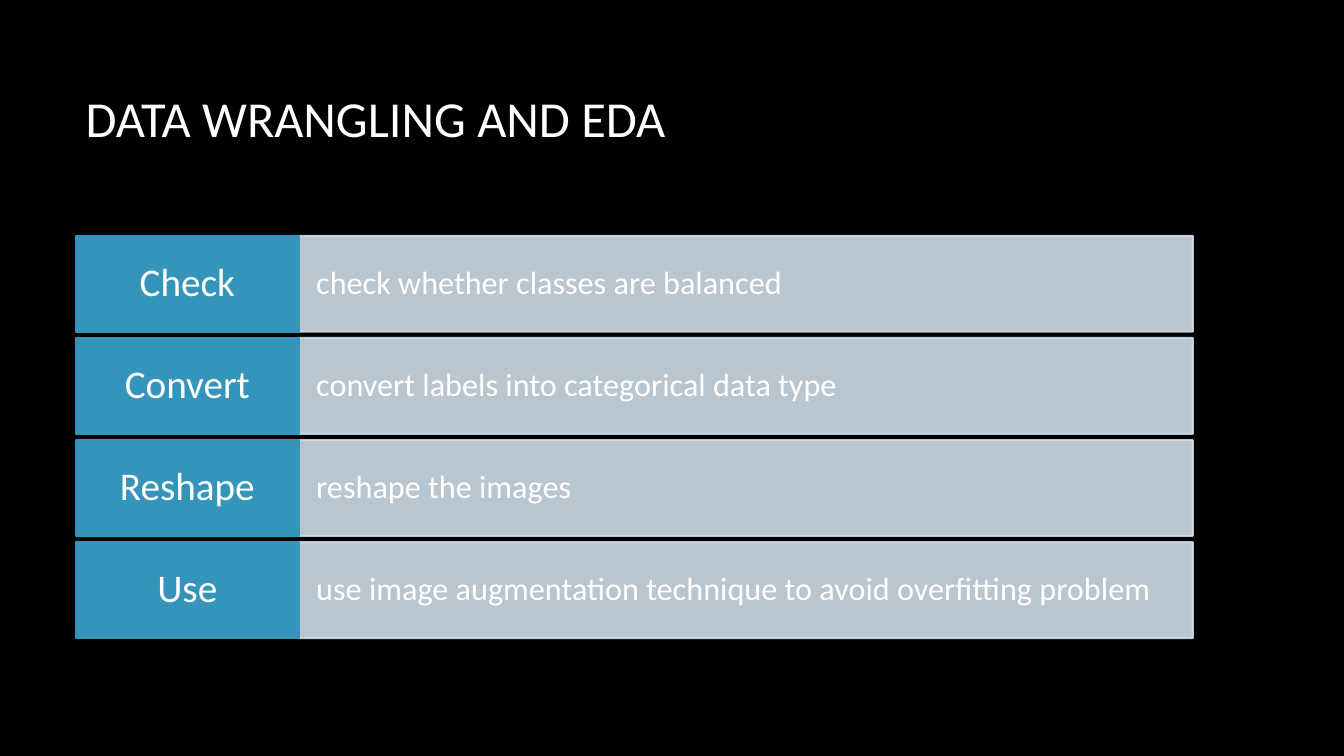
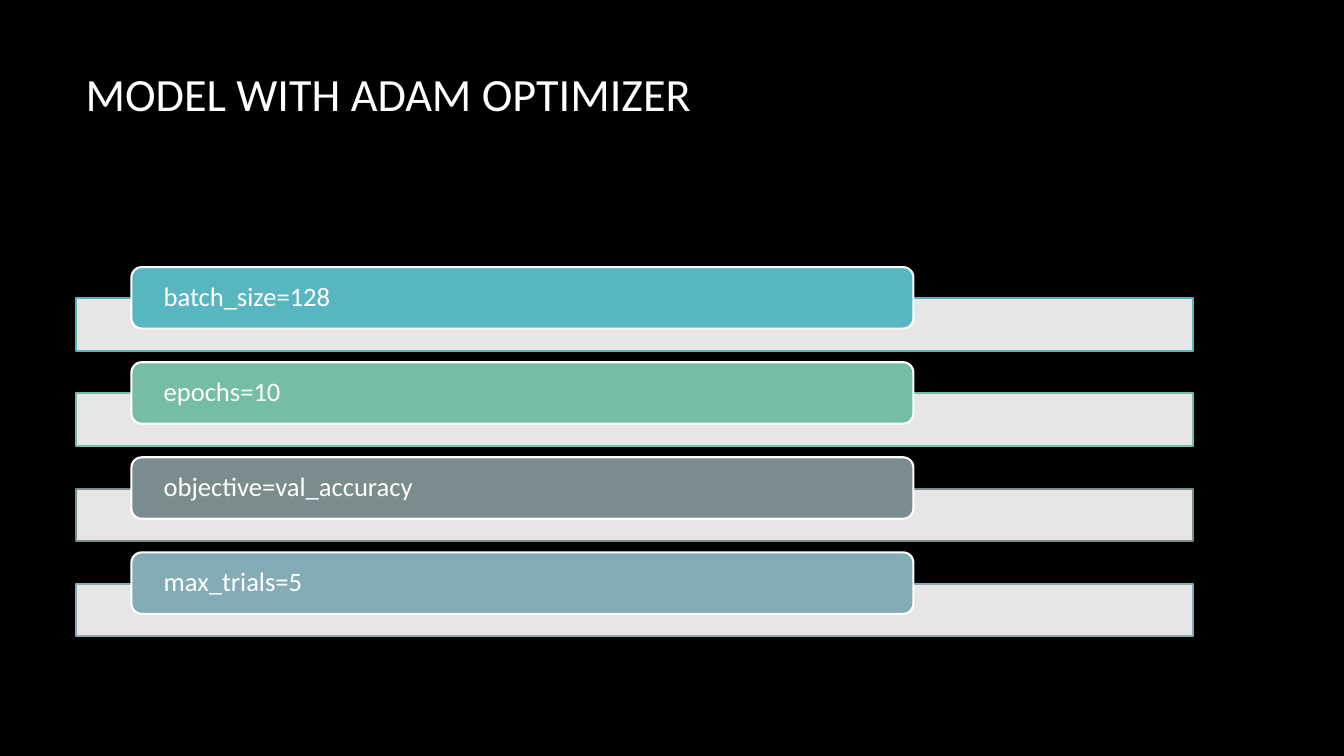
from pptx import Presentation
from pptx.dml.color import RGBColor
from pptx.enum.shapes import MSO_SHAPE
from pptx.enum.text import MSO_ANCHOR, PP_ALIGN
from pptx.oxml.ns import qn
from pptx.util import Inches, Pt
from lxml.etree import SubElement

BLACK = RGBColor(0x00, 0x00, 0x00)
WHITE = RGBColor(0xFF, 0xFF, 0xFF)
BLUE = RGBColor(0x34, 0x94, 0xBA)
PALE = RGBColor(0xCE, 0xDC, 0xE7)
TEAL = RGBColor(0x58, 0xB6, 0xC0)
GREEN = RGBColor(0x75, 0xBD, 0xA7)
GREY = RGBColor(0x7A, 0x8C, 0x8E)
STEEL = RGBColor(0x84, 0xAC, 0xB6)

FONT = "Calibri"
LEFT, WIDTH = 0.75, 11.08

STEPS = [
    ("Check", "check whether classes are balanced"),
    ("Convert", "convert labels into categorical data type"),
    ("Reshape", "reshape the images"),
    ("Use", "use image augmentation technique to avoid overfitting problem"),
]
PARAMS = [
    ("batch_size=128", TEAL),
    ("epochs=10", GREEN),
    ("objective=val_accuracy", GREY),
    ("max_trials=5", STEEL),
]


def write(shape, text, size, align=PP_ALIGN.LEFT, inset=(0.1, 0.05), leading=0.9):
    """Set one line of white text, centred vertically in the shape."""
    frame = shape.text_frame
    frame.word_wrap = True
    frame.vertical_anchor = MSO_ANCHOR.MIDDLE
    frame.margin_left = frame.margin_right = Inches(inset[0])
    frame.margin_top = frame.margin_bottom = Inches(inset[1])
    para = frame.paragraphs[0]
    para.alignment = align
    para.line_spacing = leading
    run = para.add_run()
    run.text = text
    run.font.name = FONT
    run.font.size = Pt(size)
    run.font.color.rgb = WHITE


def block(slide, box, fill, line, kind=MSO_SHAPE.RECTANGLE):
    """Add a filled, outlined shape in the box."""
    shape = slide.shapes.add_shape(kind, *map(Inches, box))
    shape.shadow.inherit = False
    shape.fill.solid()
    shape.fill.fore_color.rgb = fill
    shape.line.color.rgb = line
    shape.line.width = Pt(1.5)
    return shape


def veil(shape, count):
    """Make the first colours of a shape (fill, then line) 90 % opaque."""
    tints = list(shape._element.spPr.iter(qn("a:srgbClr")))
    for tint in tints[:count]:
        SubElement(tint, qn("a:alpha")).set("val", "90000")


def start(deck, title, size, height, leading):
    """Add a black slide with its title."""
    slide = deck.slides.add_slide(deck.slide_layouts[6])
    slide.background.fill.solid()
    slide.background.fill.fore_color.rgb = BLACK
    label = slide.shapes.add_textbox(*map(Inches, (LEFT, 0.67, WIDTH, height)))
    write(label, title, size, leading=leading)
    return slide


def spread(box, tall, count):
    """Give the tops of equally spaced rows that fill the box."""
    top, height = box[1], box[3]
    pitch = (height - tall) / (count - 1)
    return [top + pitch * row for row in range(count)]


def table(slide, box, steps):
    """Draw rows of a step name beside its description."""
    left, _, width, _ = box
    tall, head = 0.95, width / 5
    for top, (name, text) in zip(spread(box, tall, len(steps)), steps):
        body = block(slide, (left + head, top, width - head, tall), PALE, PALE)
        veil(body, 2)
        write(body, text, 23, inset=(0.17, 0.24))
        cell = block(slide, (left, top, head, tall), BLUE, BLUE)
        write(cell, name, 28, PP_ALIGN.CENTER, (0.12, 0.09))


def stack(slide, box, params):
    """Draw rounded labels that overlap pale bars."""
    left, _, width, _ = box
    tall, drop, bar = 0.83, 0.31, 0.52
    for top, (text, tint) in zip(spread(box, tall, len(params)), params):
        strip = block(slide, (left, top + drop, width, bar), WHITE, tint)
        veil(strip, 1)
        pill = block(slide, (left + width / 20, top, width * 0.7, 0.61),
                     tint, WHITE, MSO_SHAPE.ROUNDED_RECTANGLE)
        write(pill, text, 19, inset=(0.29, 0))


def main():
    """Build and save the deck."""
    deck = Presentation()
    deck.slide_width, deck.slide_height = Inches(13.33), Inches(7.5)
    slide = start(deck, "DATA WRANGLING AND EDA", 36, 0.98, 1.0)
    table(slide, (LEFT, 2.34, WIDTH, 3.99), STEPS)
    slide = start(deck, "MODEL WITH ADAM OPTIMIZER", 33, 0.58, 0.9)
    stack(slide, (LEFT, 2.65, WIDTH, 3.66), PARAMS)
    deck.save("out.pptx")


if __name__ == "__main__":
    main()
